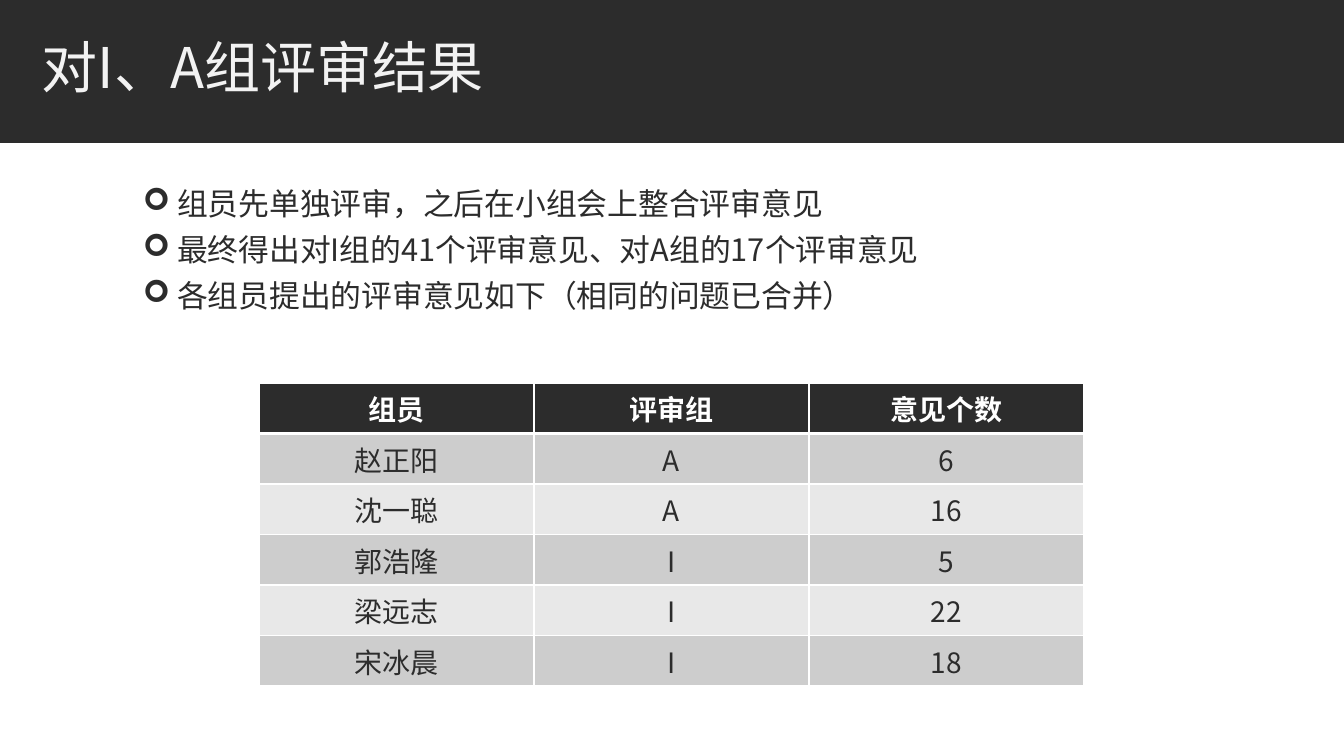
from dataclasses import dataclass

from lxml.etree import SubElement
from pptx import Presentation
from pptx.dml.color import RGBColor as Color
from pptx.enum.shapes import MSO_SHAPE as Preset
from pptx.enum.text import MSO_ANCHOR as Anchor, PP_ALIGN as Align
from pptx.oxml.ns import qn
from pptx.util import Pt

PX = 914400 / 100.8


@dataclass(frozen=True)
class Theme:
    font: str = "Noto Sans CJK SC"
    dark: str = "2C2C2C"
    white: str = "FFFFFF"
    title: str = "F2F2F2"
    odd_row: str = "CDCDCD"
    even_row: str = "E8E8E8"
    title_size: int = 40
    body_size: int = 22
    table_size: int = 20


THEME = Theme()
TITLE = "对I、A组评审结果"
POINTS = [
    " 组员先单独评审，之后在小组会上整合评审意见",
    " 最终得出对I组的41个评审意见、对A组的17个评审意见",
    " 各组员提出的评审意见如下（相同的问题已合并）",
]
REVIEWS = [
    ("组员", "评审组", "意见个数"),
    ("赵正阳", "A", "6"),
    ("沈一聪", "A", "16"),
    ("郭浩隆", "I", "5"),
    ("梁远志", "I", "22"),
    ("宋冰晨", "I", "18"),
]


def px(length):
    return round(length * PX)


def add_run(paragraph, text, size, color, bold=False):
    run = paragraph.add_run()
    run.text = text
    run.font.size = Pt(size)
    run.font.bold = bold
    run.font.color.rgb = Color.from_string(color)
    run.font.name = THEME.font
    SubElement(run.font._element, qn("a:ea"), typeface=THEME.font)


def add_text_box(slide, left, top, width, height):
    box = slide.shapes.add_textbox(px(left), px(top), px(width), px(height))
    box.text_frame.word_wrap = True
    return box.text_frame


def add_header(slide, left, top, width, height):
    band = slide.shapes.add_shape(Preset.RECTANGLE, px(left), px(top), px(width), px(height))
    band.shadow.inherit = False
    band.fill.solid()
    band.fill.fore_color.rgb = Color.from_string(THEME.dark)
    band.line.fill.background()
    frame = add_text_box(slide, left + 32, top + 26, 1079, 91)
    frame.vertical_anchor = Anchor.MIDDLE
    paragraph = frame.paragraphs[0]
    paragraph.line_spacing = 0.85
    add_run(paragraph, TITLE, THEME.title_size, THEME.title)


def add_bullet(paragraph):
    properties = paragraph._p.get_or_add_pPr()
    properties.set("marL", str(px(20)))
    properties.set("indent", str(px(-20)))
    color = SubElement(properties, qn("a:buClr"))
    SubElement(color, qn("a:srgbClr"), val=THEME.dark)
    SubElement(properties, qn("a:buFont"), typeface="Wingdings")
    SubElement(properties, qn("a:buChar"), char="➢")


def add_points(slide, left, top, width, height):
    frame = add_text_box(slide, left, top, width, height)
    frame.margin_top = px(7)
    for index, text in enumerate(POINTS):
        paragraph = frame.add_paragraph() if index else frame.paragraphs[0]
        paragraph.line_spacing = 1.24
        add_bullet(paragraph)
        add_run(paragraph, text, THEME.body_size, THEME.dark)


def add_border(cell, side, points):
    properties = cell._tc.get_or_add_tcPr()
    line = SubElement(properties, qn(f"a:ln{side}"), w=str(Pt(points)))
    fill = SubElement(line, qn("a:solidFill"))
    SubElement(fill, qn("a:srgbClr"), val=THEME.white)


def style_cell(cell, text, row):
    is_header = row == 0
    thick_sides = {0: "B", 1: "T"}
    for side in "LRTB":
        add_border(cell, side, 3 if thick_sides.get(row) == side else 1)
    band = THEME.odd_row if row % 2 else THEME.even_row
    cell.fill.solid()
    cell.fill.fore_color.rgb = Color.from_string(THEME.dark if is_header else band)
    cell.vertical_anchor = Anchor.MIDDLE
    paragraph = cell.text_frame.paragraphs[0]
    paragraph.alignment = Align.CENTER
    add_run(paragraph, text, THEME.table_size, THEME.white if is_header else THEME.dark, is_header)


def add_reviews(slide, left, top, width, height):
    rows, columns = len(REVIEWS), len(REVIEWS[0])
    frame = slide.shapes.add_table(rows, columns, px(left), px(top), px(width), px(height))
    for row, values in enumerate(REVIEWS):
        for column, text in enumerate(values):
            style_cell(frame.table.cell(row, column), text, row)


def main():
    presentation = Presentation()
    presentation.slide_width = px(1344)
    presentation.slide_height = px(756)
    slide = presentation.slides.add_slide(presentation.slide_layouts[6])
    add_header(slide, 0, 0, 1344, 143)
    add_points(slide, 133, 169, 1079, 516)
    add_reviews(slide, 259, 383, 825, 303)
    presentation.save("out.pptx")


if __name__ == "__main__":
    main()
